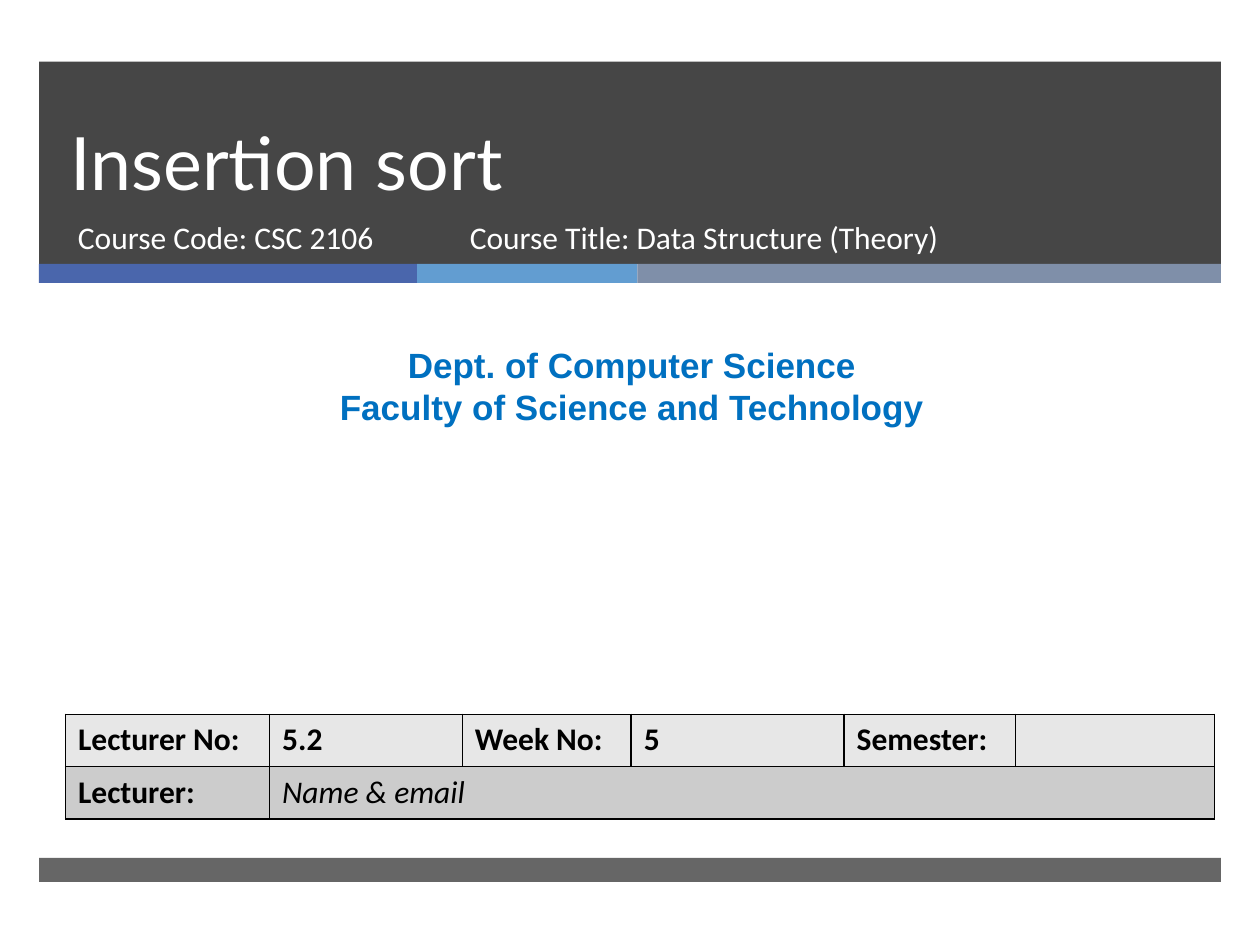
from lxml.etree import SubElement
from pptx import Presentation
from pptx.dml.color import RGBColor
from pptx.enum.shapes import MSO_SHAPE as Shape
from pptx.enum.text import MSO_ANCHOR as Anchor, MSO_AUTO_SIZE as AutoSize, PP_ALIGN as Align
from pptx.oxml.ns import qn
from pptx.util import Inches, Pt

COLORS = {
    "dark": "262626", "blue": "4A66AC", "sky": "629DD1", "slate": "7F8FA9",
    "white": "FFFFFF", "department": "0070C0", "black": "000000",
    "row1": "E7E7E7", "row2": "CCCCCC",
}

deck = Presentation()
deck.slide_width, deck.slide_height = Inches(10), Inches(7.5)
slide = deck.slides.add_slide(deck.slide_layouts[5])


def area(left, top, width, height):
    """Turn percentages of the slide's width and height into lengths."""
    across, down = deck.slide_width / 100, deck.slide_height / 100
    return [int(v) for v in (left * across, top * down, width * across, height * down)]


def style(frame, size, font, color, bold=False, italic=False, align=Align.LEFT):
    frame.word_wrap = True
    for paragraph in frame.paragraphs:
        paragraph.alignment = align
        for run in paragraph.runs:
            run.font.size, run.font.name = Pt(size), font
            run.font.bold, run.font.italic = bold, italic
            run.font.color.rgb = RGBColor.from_string(COLORS[color])


# Header panel, three-colour stripe and footer bar
EDGE, SPAN = 3.1, 93.8
bands = [
    (EDGE, 6.53, SPAN, 21.4, "dark", 85),
    (EDGE, 27.93, 30, 2, "blue", 100),
    (EDGE + 30, 27.93, 17.5, 2, "sky", 100),
    (EDGE + 47.5, 27.93, SPAN - 47.5, 2, "slate", 100),
    (EDGE, 90.8, SPAN, 2.53, "dark", 70),
]
for left, top, width, height, color, opacity in bands:
    band = slide.shapes.add_shape(Shape.RECTANGLE, *area(left, top, width, height))
    band.shadow.inherit = False
    band.line.fill.background()
    band.fill.solid()
    band.fill.fore_color.rgb = RGBColor.from_string(COLORS[color])
    if opacity < 100:
        tint = band.fill._xPr.find(".//" + qn("a:srgbClr"))
        SubElement(tint, qn("a:alpha"), val=str(opacity * 1000))

# Title, brought in front of the header panel
title = slide.shapes.title
title.left, title.top, title.width, title.height = area(4.6, 6.53, 85.4, 15.87)
title.text_frame.text = "Insertion sort"
title.text_frame.auto_size = AutoSize.NONE
title.text_frame.vertical_anchor = Anchor.BOTTOM
style(title.text_frame, 42, "Lato", "white")
title.text_frame.paragraphs[0].line_spacing = Pt(46)
slide.shapes._spTree.append(title._element)

# Course lines and department
captions = [
    ("Course Code: CSC 2106", (5.2, 22.4, 30.5, 7.07), 18, "Calibri", "white", False, Align.LEFT),
    ("Course Title: Data Structure (Theory)", (36.3, 22.4, 45.5, 7.07),
     18, "Calibri", "white", False, Align.LEFT),
    ("Dept. of Computer Science\nFaculty of Science and Technology", (0.8, 35.73, 98.7, 10.27),
     20, "Arial", "department", True, Align.CENTER),
]
for text, place, size, font, color, bold, align in captions:
    caption = slide.shapes.add_textbox(*area(*place))
    caption.text_frame.text = text
    style(caption.text_frame, size, font, color, bold=bold, align=align)

# Lecture details table
details = [
    ["Lecturer No:", "5.2", "Week No:", "5", "Semester:", ""],
    ["Lecturer:", "Name & email", "", "", "", ""],
]
column_shares = [16.2, 15.3, 13.4, 16.9, 13.6, 15.8]
table = slide.shapes.add_table(2, 6, *area(5.2, 75.6, sum(column_shares), 11.07)).table
for column, share in zip(table.columns, column_shares):
    column.width = int(deck.slide_width * share / 100)
table.cell(1, 1).merge(table.cell(1, 5))

for r, texts in enumerate(details):
    for c, text in enumerate(texts):
        cell = table.cell(r, c)
        for side in ("a:lnL", "a:lnR", "a:lnT", "a:lnB"):
            border = SubElement(cell._tc.get_or_add_tcPr(), qn(side), w=str(Pt(1)))
            SubElement(SubElement(border, qn("a:solidFill")), qn("a:srgbClr"), val=COLORS["black"])
        cell.fill.solid()
        cell.fill.fore_color.rgb = RGBColor.from_string(COLORS[f"row{r + 1}"])
        if text:
            cell.text_frame.text = text
            is_name = text == "Name & email"
            style(cell.text_frame, 18, "Calibri", "black", bold=not is_name, italic=is_name)

deck.save("out.pptx")
